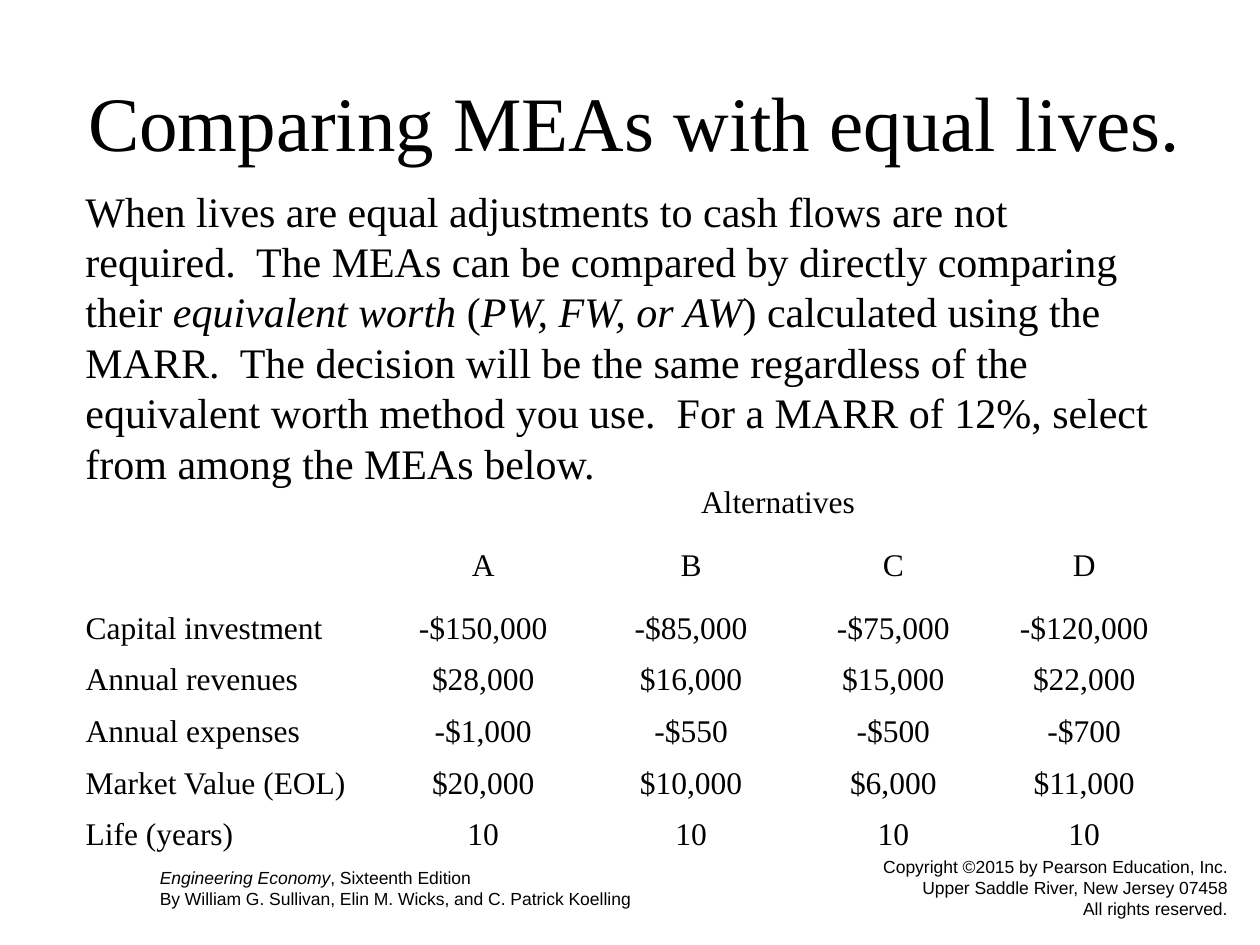
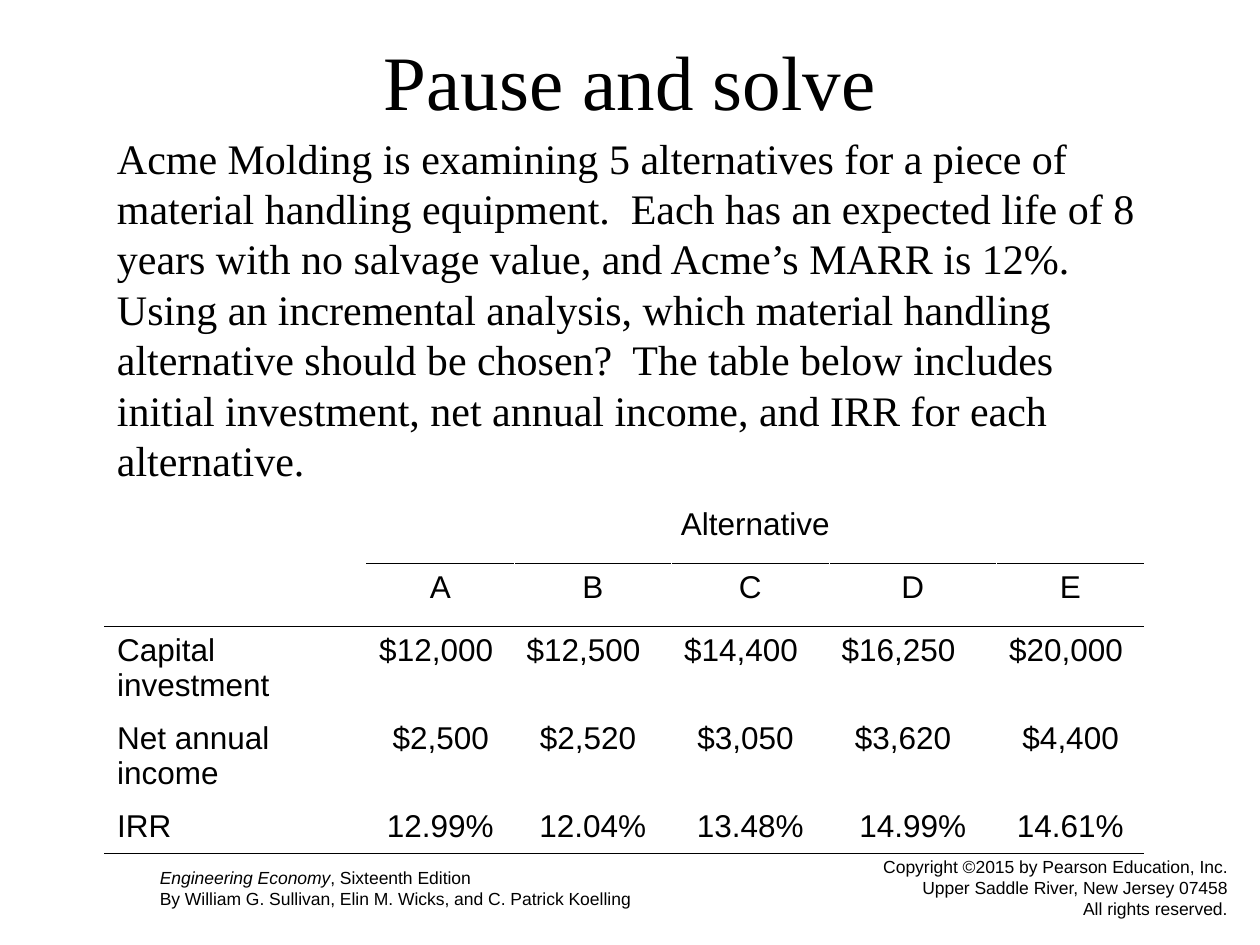
from dataclasses import dataclass
from typing import NamedTuple

from lxml.etree import SubElement
from pptx import Presentation
from pptx.dml.color import RGBColor
from pptx.enum.text import MSO_ANCHOR as Anchor, PP_ALIGN as Align
from pptx.oxml import parse_xml
from pptx.oxml.ns import nsdecls, qn
from pptx.util import Inches, Pt


@dataclass(frozen=True)
class Theme:
    ink: str = "000000"
    paper: str = "FFFFFF"
    serif: str = "Times New Roman"
    sans: str = "Arial"
    title: float = 44
    body: float = 24
    table: float = 18
    footer: float = 10
    rule: float = 0.45


THEME = Theme()
NO_STYLE = "{2D5ABB26-0587-4C30-8999-92F81FD0307C}"


class Run(NamedTuple):
    text: str
    italic: bool = False


class Box(NamedTuple):
    left: float
    top: float
    width: float
    height: float


class Grid(NamedTuple):
    left: float
    top: float
    cols: list[float]
    rows: list[float]
    cells: list[list[str]]
    font: str
    filled: bool = False


Paragraph = list[Run]

COPYRIGHT = Box(6.67, 6.75, 3.17, 0.59)
BOOK = Box(1.17, 6.83, 5, 0.44)


# Text
def write(tf, paragraphs: list[Paragraph], *, size: float, font: str,
          align=Align.LEFT, decimal_tab: float | None = None) -> None:
    for i, runs in enumerate(paragraphs):
        p = tf.paragraphs[0] if i == 0 else tf.add_paragraph()
        p.alignment = align
        if decimal_tab:
            tabs = SubElement(p._p.get_or_add_pPr(), qn("a:tabLst"))
            SubElement(tabs, qn("a:tab"), pos=str(Inches(decimal_tab)), algn="dec")
        for run in runs:
            r = p.add_run()
            r.text = run.text
            r.font.size, r.font.name = Pt(size), font
            r.font.italic = run.italic
            r.font.color.rgb = RGBColor.from_string(THEME.ink)


def add_text(s, box: Box, paragraphs: list[Paragraph], *, anchor=Anchor.TOP,
             **text_format) -> None:
    tf = s.shapes.add_textbox(*map(Inches, box)).text_frame
    tf.word_wrap = True
    tf.vertical_anchor = anchor
    write(tf, paragraphs, **text_format)


# Shared slide parts
def add_slide(prs, title: str, title_box: Box, body: Paragraph, body_box: Box):
    s = prs.slides.add_slide(prs.slide_layouts[6])
    s.background.fill.solid()
    s.background.fill.fore_color.rgb = RGBColor.from_string(THEME.paper)
    add_text(s, COPYRIGHT, [[Run("Copyright ©2015 by Pearson Education, Inc.")],
                            [Run("Upper Saddle River, New Jersey 07458")],
                            [Run("All rights reserved.")]],
             size=THEME.footer, font=THEME.sans, align=Align.RIGHT, anchor=Anchor.MIDDLE)
    add_text(s, BOOK, [[Run("Engineering Economy", True), Run(", Sixteenth Edition")],
                       [Run("By William G. Sullivan, Elin M. Wicks, and C. Patrick Koelling")]],
             size=THEME.footer, font=THEME.sans)
    add_text(s, title_box, [[Run(title)]], size=THEME.title, font=THEME.serif,
             align=Align.CENTER, anchor=Anchor.MIDDLE)
    add_text(s, body_box, [body], size=THEME.body, font=THEME.serif)
    return s


# Tables
def add_grid(s, grid: Grid, left_rows: tuple[int, ...] = (),
             decimal_tab: float | None = None):
    """The first column and left_rows are left aligned; the rest is centred."""
    table = s.shapes.add_table(len(grid.rows), len(grid.cols), Inches(grid.left),
                               Inches(grid.top), Inches(sum(grid.cols)),
                               Inches(sum(grid.rows))).table
    table.first_row = table.horz_banding = False
    table._tbl.tblPr.find(qn("a:tableStyleId")).text = NO_STYLE
    for column, width in zip(table.columns, grid.cols):
        column.width = Inches(width)
    for row, height in zip(table.rows, grid.rows):
        row.height = Inches(height)
    table.cell(0, 1).merge(table.cell(0, len(grid.cols) - 1))
    for cell in table.iter_cells():
        if grid.filled:
            cell.fill.solid()
            cell.fill.fore_color.rgb = RGBColor.from_string(THEME.paper)
        else:
            cell.fill.background()
    for i, values in enumerate(grid.cells):
        for j, value in enumerate(values):
            if value:
                is_left = j == 0 or i in left_rows
                write(table.cell(i, j).text_frame, [[Run(value)]],
                      size=THEME.table, font=grid.font,
                      align=Align.LEFT if is_left else Align.CENTER,
                      decimal_tab=decimal_tab if i in left_rows and j else None)
    return table


def set_borders(cell, **colours: str) -> None:
    tc_pr = cell._tc.get_or_add_tcPr()
    for i, side in enumerate("LRTB"):
        tc_pr.insert(i, parse_xml(
            f'<a:ln{side} {nsdecls("a")} w="{Pt(THEME.rule)}"><a:solidFill>'
            f'<a:srgbClr val="{colours.get(side, THEME.paper)}"/>'
            f'</a:solidFill></a:ln{side}>'))


def rule_grid(table) -> None:
    """Black rules under the heading, the letters and the last row."""
    n_rows, n_cols = len(table.rows), len(table.columns)

    def line(edge: int, col: int) -> str:
        ruled = edge in (2, n_rows) or (edge == 1 and col > 0)
        return THEME.ink if ruled else THEME.paper

    for i in range(n_rows):
        for j in range(n_cols):
            set_borders(table.cell(i, j), T=line(i, j), B=line(i + 1, j))


# Slides
def equal_lives(prs) -> None:
    s = add_slide(
        prs, "Comparing MEAs with equal lives.", Box(0.58, 0.5, 8.92, 0.92),
        [Run("When lives are equal adjustments to cash flows are not required.  The MEAs "
             "can be compared by directly comparing their "),
         Run("equivalent worth", True), Run(" ("), Run("PW, FW, or AW", True),
         Run(") calculated using the MARR.  The decision will be the same regardless of "
             "the equivalent worth method you use.  For a MARR of 12%, select from among "
             "the MEAs below.")],
        Box(0.58, 1.42, 8.75, 2.5))
    add_grid(s, Grid(0.58, 3.8, [2.43, 1.65, 1.65, 1.56, 1.47], [0.5] * 2 + [0.41] * 5, [
        ["", "Alternatives"],
        ["", "A", "B", "C", "D"],
        ["Capital investment", "-$150,000", "-$85,000", "-$75,000", "-$120,000"],
        ["Annual revenues", "$28,000", "$16,000", "$15,000", "$22,000"],
        ["Annual expenses", "-$1,000", "-$550", "-$500", "-$700"],
        ["Market Value (EOL)", "$20,000", "$10,000", "$6,000", "$11,000"],
        ["Life (years)"] + ["10"] * 4,
    ], THEME.serif))


def pause_and_solve(prs) -> None:
    s = add_slide(
        prs, "Pause and solve", Box(0.75, 0.17, 8.5, 0.92),
        [Run("Acme Molding is examining 5 alternatives for a piece of material handling "
             "equipment.  Each has an expected life of 8 years with no salvage value, and "
             "Acme’s MARR is 12%.  Using an incremental analysis, which material handling "
             "alternative should be chosen?  The table below includes initial investment, "
             "net annual income, and IRR for each alternative.")],
        Box(0.83, 1, 8.33, 2.9))
    incomes = ["$2,500", "$2,520", "$3,050", "$3,620", "$4,400"]
    table = add_grid(s, Grid(
        0.83, 3.97, [2.08, 1.17, 1.25, 1.25, 1.33, 1.17], [0.5, 0.5, 0.7, 0.7, 0.4], [
            ["", "Alternative"],
            ["", "A", "B", "C", "D", "E"],
            ["Capital investment", "$12,000", "$12,500", "$14,400", "$16,250", "$20,000"],
            ["Net annual income"] + [f"\t{income}" for income in incomes],
            ["IRR", "12.99%", "12.04%", "13.48%", "14.99%", "14.61%"],
        ], THEME.sans, filled=True), left_rows=(2, 3), decimal_tab=0.87)
    rule_grid(table)


def main() -> None:
    prs = Presentation()
    prs.slide_width, prs.slide_height = Inches(10), Inches(7.5)
    equal_lives(prs)
    pause_and_solve(prs)
    prs.save("out.pptx")


if __name__ == "__main__":
    main()
